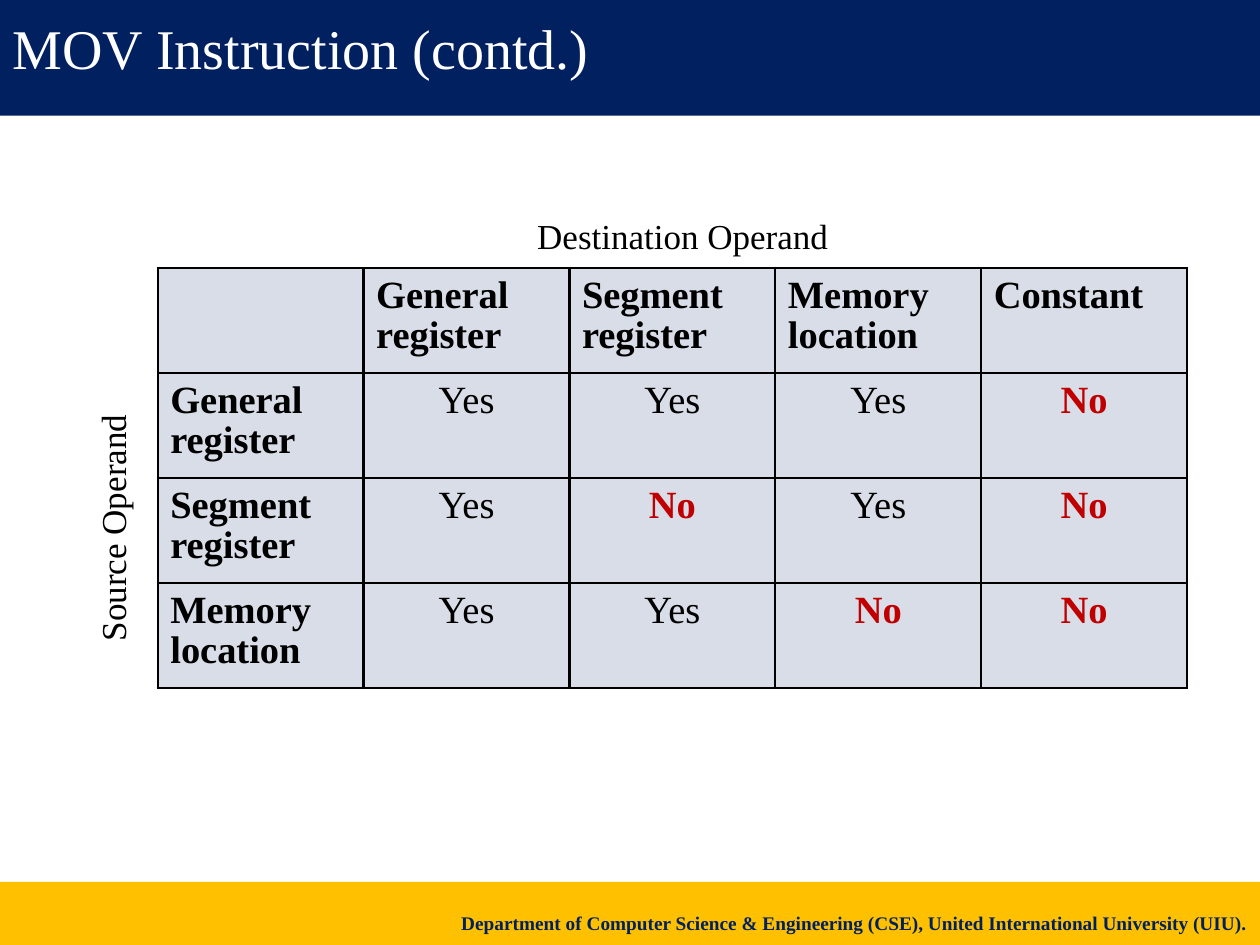
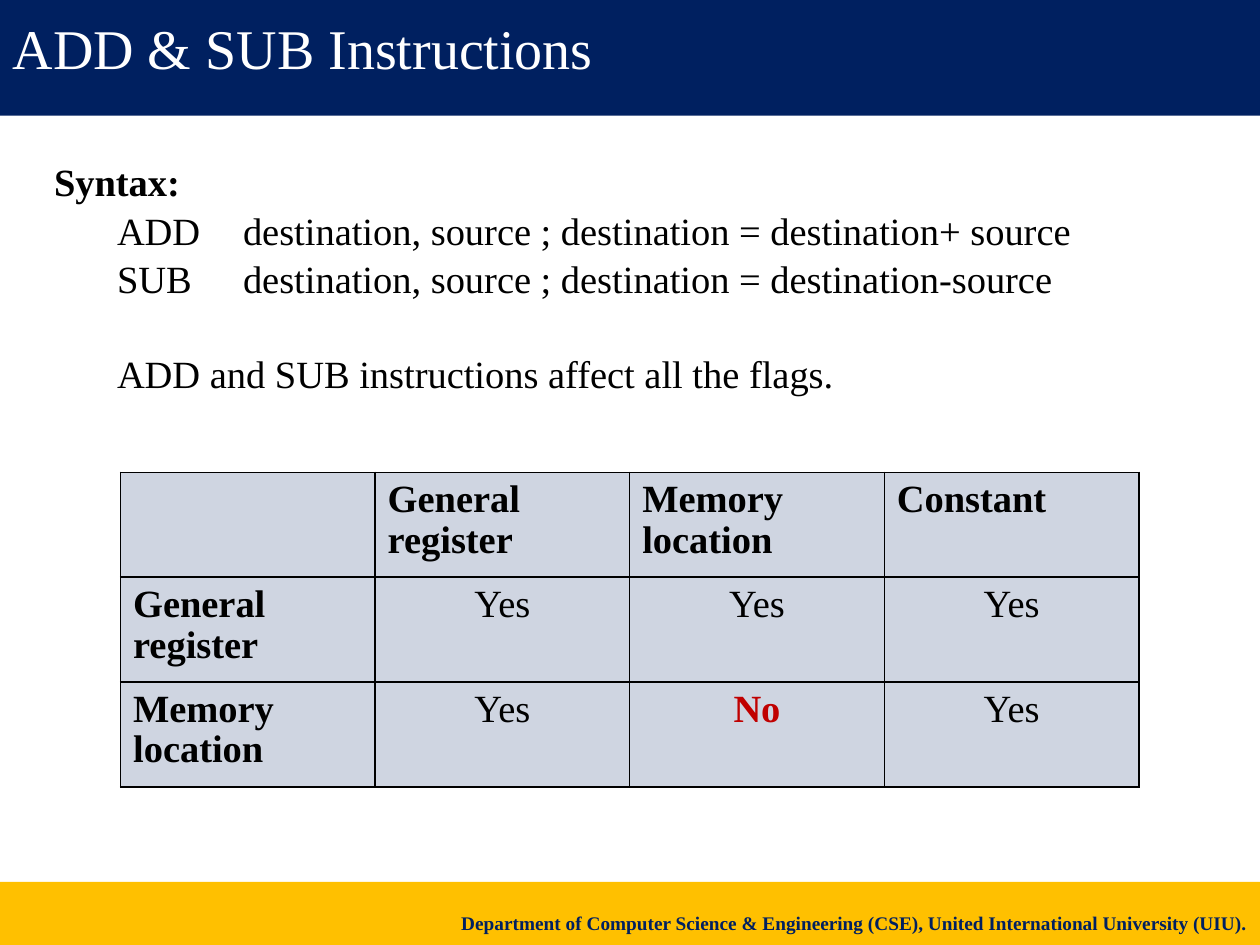
from collections import namedtuple

from lxml import etree
from pptx import Presentation
from pptx import util as u
from pptx.dml.color import RGBColor
from pptx.enum import shapes, text
from pptx.oxml.ns import qn

Box = namedtuple("Box", "x y w h")

FACE = "Times New Roman"
NAVY, GOLD, RED = "002060", "FFC000", "C00000"
BLACK, WHITE = "000000", "FFFFFF"
PAGE = Box(0, 0, 25.4, 19.05)
HEAD = Box(0, 0, PAGE.w, 2.33)
FOOT = Box(0, 17.78, PAGE.w, 1.27)
LEFT, MID, RIGHT = (text.PP_ALIGN.LEFT, text.PP_ALIGN.CENTER,
                    text.PP_ALIGN.RIGHT)
SCHOOL = ("Department of Computer Science & Engineering (CSE), "
          "United International University (UIU).")
GEN, SEG, MEM, CON = ("General register", "Segment register",
                      "Memory location", "Constant")
MOVES = [
    ["", GEN, SEG, MEM, CON],
    [GEN, "Yes", "Yes", "Yes", "No"],
    [SEG, "Yes", "No", "Yes", "No"],
    [MEM, "Yes", "Yes", "No", "No"],
]
SUMS = [
    ["", GEN, MEM, CON],
    [GEN, "Yes", "Yes", "Yes"],
    [MEM, "Yes", "No", "Yes"],
]


def ink(code):
    return RGBColor.from_string(code)


def place(box):
    return [u.Cm(side) for side in box]


def paint(item, code):
    item.fill.solid()
    item.fill.fore_color.rgb = ink(code)


def write(frame, words, size=22, color=BLACK, bold=False, align=LEFT,
          space=None, before=0, indent=0):
    par = frame.paragraphs[0]
    if par.runs:
        par = frame.add_paragraph()
    par.alignment = align
    if space:
        par.line_spacing = space
    if before:
        par.space_before = u.Pt(before)
    if indent:
        props = par._p.get_or_add_pPr()
        props.set("marL", str(u.Cm(indent)))
        props.set("indent", "0")
    run = par.add_run()
    run.text = words
    font = run.font
    font.name, font.size, font.bold = FACE, u.Pt(size), bold
    font.color.rgb = ink(color)


def head(slide, box, words):
    title = slide.shapes.title
    title.left, title.top, title.width, title.height = place(box)
    paint(title, NAVY)
    frame = title.text_frame
    frame.auto_size = text.MSO_AUTO_SIZE.NONE
    frame.vertical_anchor = text.MSO_ANCHOR.TOP
    frame.margin_top = u.Cm(0.28)
    write(frame, words, size=32, color=WHITE)


def foot(slide, box):
    band = slide.shapes.add_shape(shapes.MSO_SHAPE.RECTANGLE, *place(box))
    band.shadow.inherit = False
    paint(band, GOLD)
    band.line.fill.background()
    frame = band.text_frame
    frame.word_wrap = True
    frame.vertical_anchor = text.MSO_ANCHOR.BOTTOM
    frame.margin_bottom = u.Cm(0.22)
    write(frame, SCHOOL, size=11, color=NAVY, bold=True, align=RIGHT)


def note(slide, box, wrap=True):
    area = slide.shapes.add_textbox(*place(box))
    area.text_frame.word_wrap = wrap
    return area


def edge(cell, width):
    props = cell._tc.get_or_add_tcPr()
    for spot, side in enumerate(("a:lnL", "a:lnR", "a:lnT", "a:lnB")):
        line = etree.Element(qn(side), w=str(u.Pt(width)))
        fill = etree.SubElement(line, qn("a:solidFill"))
        etree.SubElement(fill, qn("a:srgbClr"), val=BLACK)
        props.insert(spot, line)


def tint(cell, share):
    paint(cell, NAVY)
    code = cell._tc.tcPr.find(".//" + qn("a:srgbClr"))
    etree.SubElement(code, qn("a:alpha"), val=str(share * 1000))


def grid(slide, box, rows, share, width):
    table = slide.shapes.add_table(len(rows), len(rows[0]),
                                   *place(box)).table
    table.first_row = table.horz_banding = False
    for col in table.columns:
        col.width = u.Cm(box.w / len(rows[0]))
    for row in table.rows:
        row.height = u.Cm(box.h / len(rows))
    for r, row in enumerate(rows):
        for c, words in enumerate(row):
            cell = table.cell(r, c)
            tint(cell, share)
            edge(cell, width)
            cell.margin_top = u.Cm(0.16)
            if words:
                label = r == 0 or c == 0
                write(cell.text_frame, words, space=0.95,
                      align=LEFT if label else MID,
                      bold=label or words == "No",
                      color=RED if words == "No" else BLACK)


def syntax(slide, box):
    frame = note(slide, box).text_frame
    write(frame, "Syntax:", bold=True, space=1.05)
    for words, gap in (
        ("ADD\tdestination, source ; destination = destination+ source", 0),
        ("SUB\tdestination, source ; destination = destination-source", 0),
        ("ADD and SUB instructions affect all the flags.", 26.4),
    ):
        write(frame, words, space=1.05, before=gap, indent=1.27)


def start(deck, words):
    slide = deck.slides.add_slide(deck.slide_layouts[5])
    head(slide, HEAD, words)
    foot(slide, FOOT)
    return slide


def move(deck):
    slide = start(deck, "MOV Instruction (contd.)")
    grid(slide, Box(3.18, 5.4, 20.75, 8.47), MOVES, 15, 1.5)
    top = note(slide, Box(10.58, 4.19, 8.69, 1.11))
    write(top.text_frame, "Destination Operand", size=20)
    side = note(slide, Box(-0.3, 10.06, 5.13, 1.11), wrap=False)
    side.rotation = 270
    write(side.text_frame, "Source Operand", size=20)


def add(deck):
    slide = start(deck, "ADD & SUB Instructions")
    grid(slide, Box(2.43, 9.52, 20.53, 6.35), SUMS, 19, 1)
    syntax(slide, Box(0.84, 3.02, 23.06, 5.89))


def main():
    deck = Presentation()
    deck.slide_width, deck.slide_height = u.Cm(PAGE.w), u.Cm(PAGE.h)
    move(deck)
    add(deck)
    deck.save("out.pptx")


if __name__ == "__main__":
    main()
